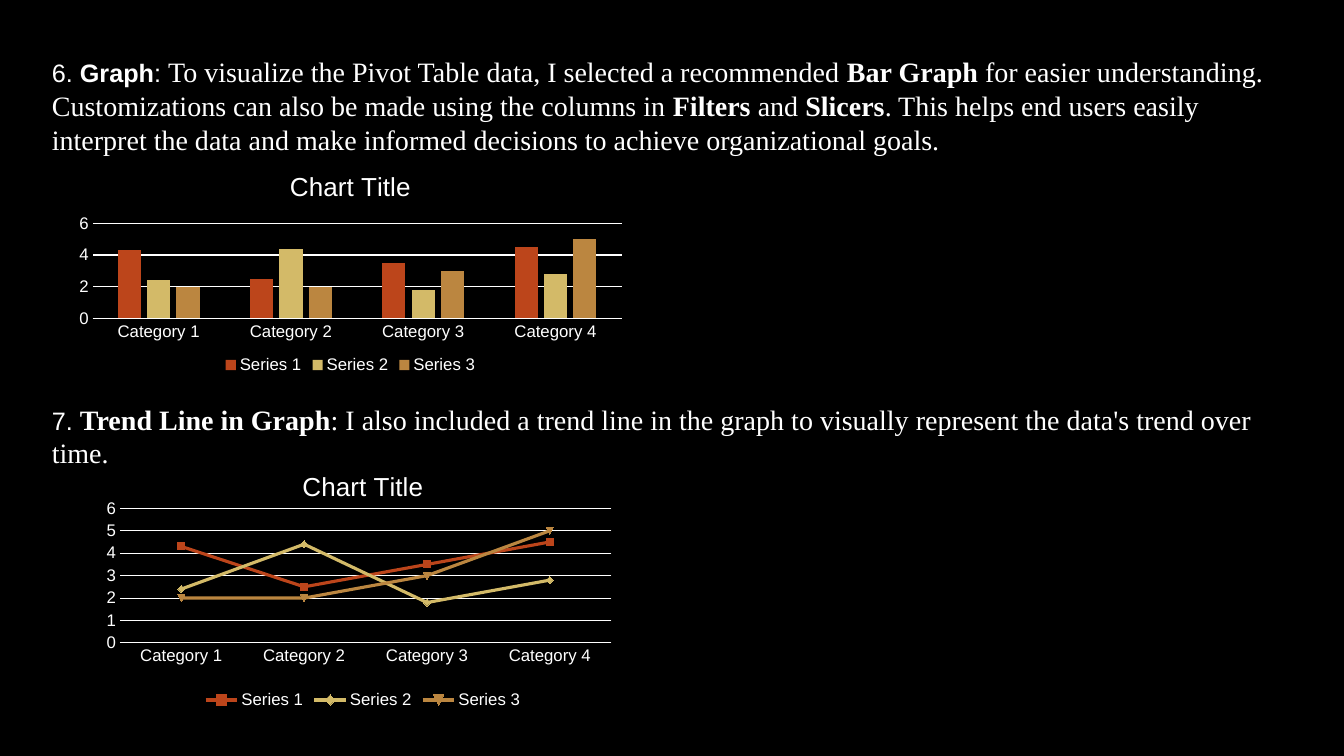
from lxml import etree
from pptx import Presentation
from pptx.chart.data import CategoryChartData
from pptx.dml.color import RGBColor
from pptx.enum.chart import XL_CHART_TYPE, XL_LEGEND_POSITION, XL_TICK_MARK
from pptx.enum.text import MSO_AUTO_SIZE
from pptx.oxml.ns import qn
from pptx.util import Emu, Pt

COLUMNS = XL_CHART_TYPE.COLUMN_CLUSTERED
LINES = XL_CHART_TYPE.LINE
BOTTOM = XL_LEGEND_POSITION.BOTTOM
NO_TICK = XL_TICK_MARK.NONE
GROW = MSO_AUTO_SIZE.SHAPE_TO_FIT_TEXT

EMU_PER_PX = 914400 / 100.8
SANS, SERIF = "Arial", "Times New Roman"
WHITE, BLACK = "FFFFFF", "000000"

CATEGORIES = [f"Category {number}" for number in range(1, 5)]
SERIES = [
    ("Series 1", (4.3, 2.5, 3.5, 4.5), "BC451B"),
    ("Series 2", (2.4, 4.4, 1.8, 2.8), "D3BA68"),
    ("Series 3", (2, 2, 3, 5), "BB8640"),
]
GRAPH_STEP = [
    ("6. ", SANS, 18, False),
    ("Graph", SANS, 18, True),
    (": ", SANS, 18, False),
    ("To visualize the Pivot Table data, I selected a recommended ", SERIF, 20, False),
    ("Bar Graph", SERIF, 20, True),
    (" for easier understanding. Customizations can also be made using the columns in ",
     SERIF, 20, False),
    ("Filters", SERIF, 20, True),
    (" and ", SERIF, 20, False),
    ("Slicers", SERIF, 20, True),
    (". This helps end users easily interpret the data and make informed decisions "
     "to achieve organizational goals.", SERIF, 20, False),
]
TREND_STEP = [
    ("7. ", SANS, 18, False),
    ("Trend Line in Graph", SERIF, 20, True),
    (": I also included a trend line in the graph to visually represent the data's "
     "trend over time.", SERIF, 20, False),
]


def px(length):
    return Emu(round(length * EMU_PER_PX))


def color(value):
    return RGBColor.from_string(value)


class SlideBuilder:
    def __init__(self, slide):
        self.slide = slide
        background = slide.background.fill
        background.solid()
        background.fore_color.rgb = color(BLACK)

    def style_font(self, font, size, family=SANS, bold=False):
        font.name = family
        font.size = Pt(size)
        font.bold = bold
        font.color.rgb = color(WHITE)

    def style_line(self, line, width=0.75, value=WHITE):
        line.color.rgb = color(value)
        line.width = Pt(width)

    def text(self, left, top, width, height, steps, gap):
        box = self.slide.shapes.add_textbox(px(left), px(top), px(width), px(height))
        frame = box.text_frame
        frame.word_wrap = True
        frame.auto_size = GROW
        for index, step in enumerate(steps):
            paragraph = frame.add_paragraph() if index else frame.paragraphs[0]
            paragraph.space_before = Pt(gap if index else 0)
            for words, family, size, bold in step:
                run = paragraph.add_run()
                run.text = words
                self.style_font(run.font, size, family, bold)

    def chart(self, kind, left, top, width, height, step):
        data = CategoryChartData()
        data.categories = CATEGORIES
        for name, values, _ in SERIES:
            data.add_series(name, values)
        chart = self.slide.shapes.add_chart(
            kind, px(left), px(top), px(width), px(height), data).chart
        self.style_font(chart.font, 10)
        chart.has_title = True
        title = chart.chart_title.text_frame.paragraphs[0].add_run()
        title.text = "Chart Title"
        self.style_font(title.font, 18.6)
        chart.has_legend = True
        chart.legend.position = BOTTOM
        chart.legend.include_in_layout = False
        self.style_font(chart.legend.font, 12)
        for axis in (chart.category_axis, chart.value_axis):
            axis.major_tick_mark = axis.minor_tick_mark = NO_TICK
            self.style_font(axis.tick_labels.font, 12)
        self.style_line(chart.category_axis.format.line)
        scale = chart.value_axis
        scale.minimum_scale, scale.maximum_scale, scale.major_unit = 0, 6, step
        scale.format.line.fill.background()
        scale.has_major_gridlines = True
        self.style_line(scale.major_gridlines.format.line)
        chart.plots[0].vary_by_categories = False
        for series, (_, _, shade) in zip(chart.plots[0].series, SERIES):
            if kind == LINES:
                series.smooth = False
                series.marker.style = None
                self.style_line(series.format.line, 2.25, shade)
            else:
                series.format.fill.solid()
                series.format.fill.fore_color.rgb = color(shade)
        return chart

    def place_plot(self, chart, **fractions):
        area = chart.plots[0]._element.getparent()
        layout = area.find(qn("c:layout"))
        if layout is None:
            layout = etree.Element(qn("c:layout"))
            area.insert(0, layout)
        manual = etree.SubElement(layout, qn("c:manualLayout"))
        settings = {"layoutTarget": "inner", "xMode": "edge", "yMode": "edge", **fractions}
        for tag, value in settings.items():
            etree.SubElement(manual, qn(f"c:{tag}")).set("val", str(value))


def main():
    deck = Presentation()
    deck.slide_width, deck.slide_height = px(1344), px(756)
    builder = SlideBuilder(deck.slides.add_slide(deck.slide_layouts[6]))
    builder.text(42, 50, 1260, 526, [GRAPH_STEP, TREND_STEP], 176)
    bar_graph = builder.chart(COLUMNS, 68, 155, 565, 223, 2)
    bar_graph.plots[0].gap_width = 219
    bar_graph.plots[0].overlap = -27
    trend_graph = builder.chart(LINES, 93, 454, 540, 259, 1)
    builder.place_plot(trend_graph, x=0.05, y=0.21, w=0.91, h=0.52)
    deck.save("out.pptx")


if __name__ == "__main__":
    main()
